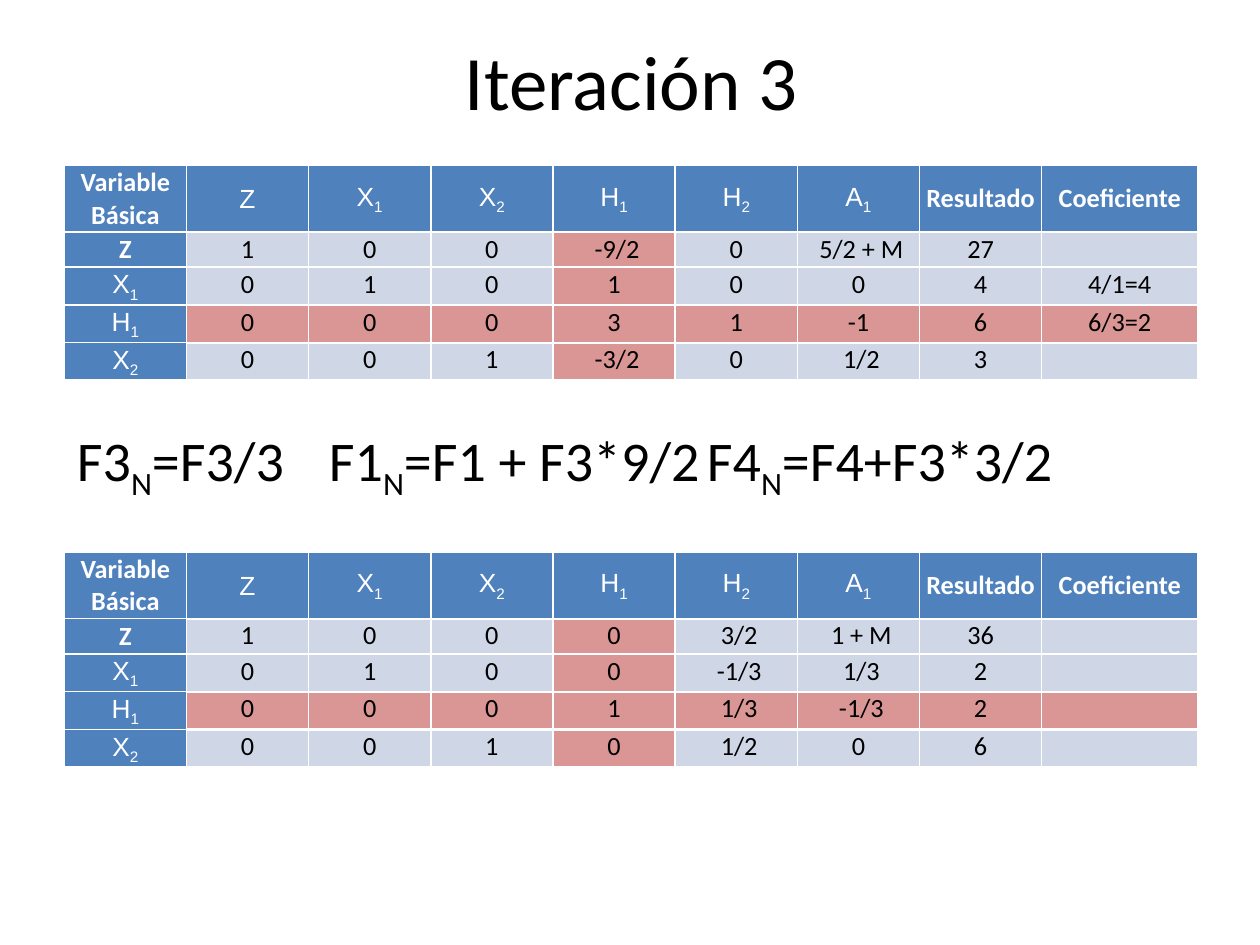
from lxml import etree
from pptx import Presentation, util as u
from pptx.dml.color import RGBColor
from pptx.enum import text
from pptx.oxml.ns import qn

# Content: "_" makes the next character a subscript
TITLE = "Iteración 3"
FORMULAS = ["F3_N=F3/3", "F1_N=F1 + F3*9/2", "F4_N=F4+F3*3/2"]
HEADER = ["Variable Básica", "Z", "X_1", "X_2", "H_1", "H_2", "A_1", "Resultado", "Coeficiente"]
BEFORE = [
    ["Z", "1", "0", "0", " -9/2", "0", " 5/2 + M", "27", ""],
    ["X_1", "0", "1", "0", "1", "0", "0", "4", "4/1=4"],
    ["H_1", "0", "0", "0", "3", "1", "-1", "6", "6/3=2"],
    ["X_2", "0", "0", "1", " -3/2", "0", " 1/2", "3", ""],
]
AFTER = [
    ["Z", "1", "0", "0", "0", " 3/2", " 1 + M", "36", ""],
    ["X_1", "0", "1", "0", "0", " -1/3", " 1/3", "2", ""],
    ["H_1", "0", "0", "0", "1", " 1/3", " -1/3", "2", ""],
    ["X_2", "0", "0", "1", "0", " 1/2", "0", "6", ""],
]
PIVOT_ROW, PIVOT_COL = 3, 4

# Layout and colours
LEFT, WIDTH = 0.51, 9
COLS = [0.97] * 8 + [1.24]
ROWS = [0.53, 0.28] + [0.3] * 3
TABS = [2.1, 5.45]
HEAD, CELL, PIVOT, WHITE, BLACK = "4F81BD", "CFD7E7", "DA9694", "FFFFFF", "000000"
SIZE = 15


def color(value):
    return RGBColor.from_string(value)


def write(p, content, size=SIZE, font="Calibri", fill=BLACK, bold=False, align=None):
    p.alignment = align
    first, *rest = content.split("_")
    pieces = [(first, False)]
    for part in rest:
        pieces += [(part[0], True), (part[1:], False)]
    for piece, subscript in pieces:
        if not piece:
            continue
        r = p.add_run()
        r.text = piece
        r.font.size, r.font.name, r.font.bold = u.Pt(size), font, bold
        r.font.color.rgb = color(fill)
        if subscript:
            r.font._element.set("baseline", "-25000")
    if not content:  # an empty cell keeps the row's text height
        p._p.get_or_add_endParaRPr().set("sz", str(size * 100))


def border(cell, side, width):
    ln = etree.SubElement(cell._tc.get_or_add_tcPr(), qn("a:ln" + side), w=str(u.Pt(width)))
    solid = etree.SubElement(ln, qn("a:solidFill"))
    etree.SubElement(solid, qn("a:srgbClr"), val=WHITE)


def place(sp, top, height):
    sp.left, sp.top, sp.width, sp.height = map(u.Inches, (LEFT, top, WIDTH, height))
    tf = sp.text_frame
    tf.word_wrap, tf.auto_size = True, text.MSO_AUTO_SIZE.NONE
    tf.margin_left = tf.margin_right = tf.margin_top = tf.margin_bottom = u.Inches(0.1)
    return tf


def add_tableau(s, top, body):
    rows = [HEADER] + body
    box = map(u.Inches, (LEFT, top, sum(COLS), sum(ROWS)))
    table = s.shapes.add_table(len(rows), len(COLS), *box).table
    for column, width in zip(table.columns, COLS):
        column.width = u.Inches(width)
    for row, height in zip(table.rows, ROWS):
        row.height = u.Inches(height)
    for i, row in enumerate(rows):
        for j, content in enumerate(row):
            cell = table.cell(i, j)
            cell.margin_left = cell.margin_right = cell.margin_top = u.Inches(0.01)
            cell.margin_bottom = 0
            # Borders go before the fill
            border(cell, "L", 1)
            border(cell, "R", 1)
            border(cell, "T", 1.5 if i and j else 1)
            border(cell, "B", 1.5 if j or i == len(rows) - 1 else 1)
            head = i == 0 or j == 0
            pivot = i == PIVOT_ROW or j == PIVOT_COL
            cell.fill.solid()
            cell.fill.fore_color.rgb = color(HEAD if head else PIVOT if pivot else CELL)
            cell.vertical_anchor = text.MSO_ANCHOR.MIDDLE if head else text.MSO_ANCHOR.TOP
            symbol = "_" in content or (i == 0 and content == "Z")
            write(cell.text_frame.paragraphs[0], content, align=text.PP_ALIGN.CENTER,
                  font="Arial" if symbol else "Calibri",
                  fill=WHITE if head else BLACK, bold=head and not symbol)


def main():
    prs = Presentation()
    prs.slide_width, prs.slide_height = u.Inches(10), u.Inches(7.5)
    s = prs.slides.add_slide(prs.slide_layouts[1])

    # Title
    tf = place(s.shapes.title, 0.01, 1.25)
    tf.vertical_anchor = text.MSO_ANCHOR.MIDDLE
    write(tf.paragraphs[0], TITLE, size=44, align=text.PP_ALIGN.CENTER)

    # Row operations, set apart by tab stops
    p = place(s.placeholders[1], 3.28, 0.79).paragraphs[0]
    pPr = p._p.get_or_add_pPr()
    pPr.set("marL", "0")
    pPr.set("indent", "0")
    etree.SubElement(pPr, qn("a:buNone"))
    stops = etree.SubElement(pPr, qn("a:tabLst"))
    for stop in TABS:
        etree.SubElement(stops, qn("a:tab"), pos=str(u.Inches(stop)), algn="l")
    p.space_before = u.Pt(0)
    write(p, "\t".join(FORMULAS), size=32)

    # Tableaus before and after the row operations
    for top, body in ((1.31, BEFORE), (4.38, AFTER)):
        add_tableau(s, top, body)

    prs.save("out.pptx")


if __name__ == "__main__":
    main()
